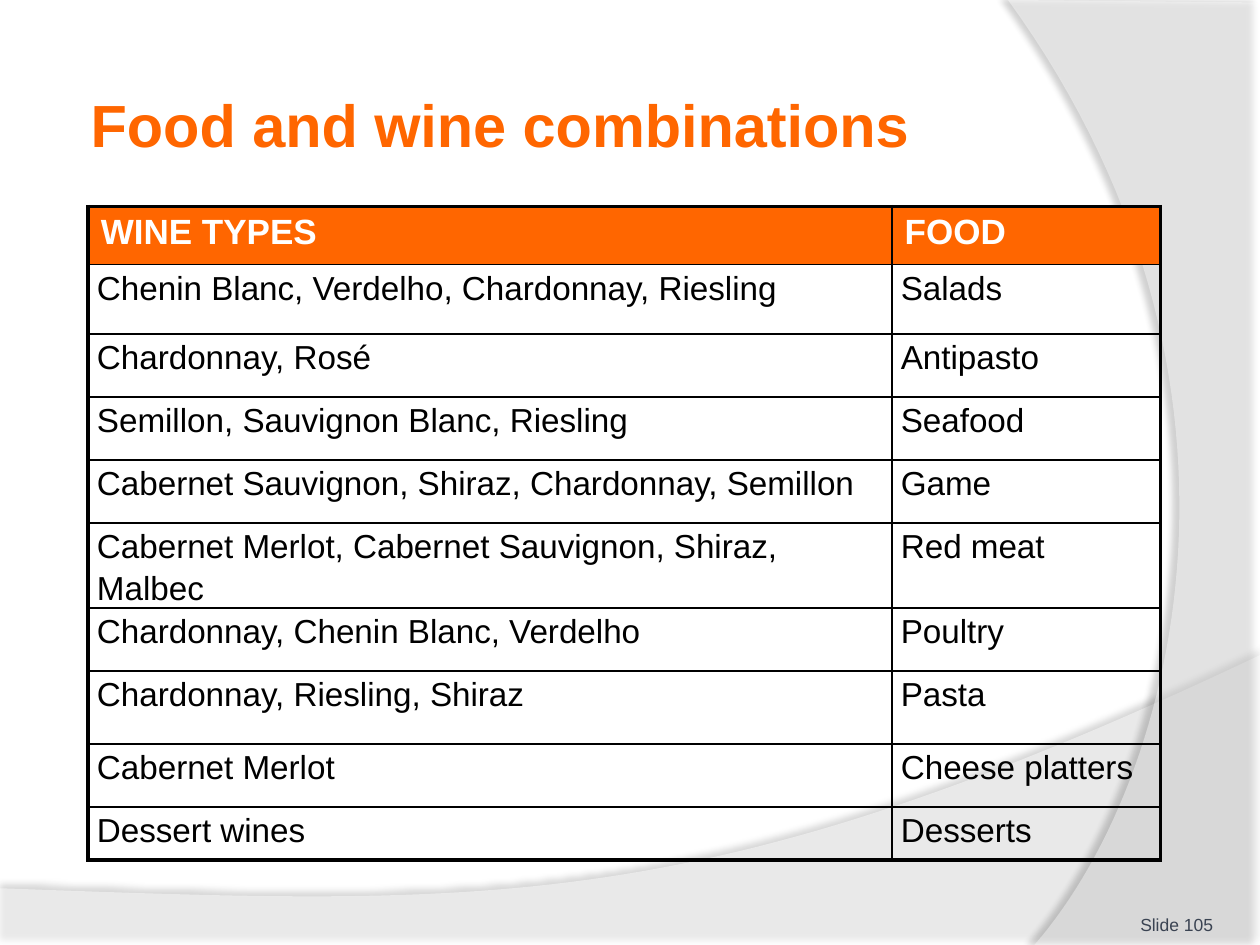
from dataclasses import dataclass

from lxml import etree
from pptx import Presentation
from pptx import util as u
from pptx.dml.color import RGBColor
from pptx.enum import text
from pptx.oxml import ns

Point = tuple[float, float]


@dataclass(frozen=True)
class Theme:
    font: str = "Arial"
    accent: str = "FF6600"
    white: str = "FFFFFF"
    black: str = "000000"
    slate: str = "3A4352"
    title: float = 34
    head: float = 20
    body: float = 19
    foot: float = 10
    thick: float = 2.25
    thin: float = 1


@dataclass(frozen=True)
class Wave:
    edge: tuple[Point, ...]   # straight corners, ending where the curve starts
    curve: tuple[Point, Point, Point]
    alpha: int
    shade: int
    dist: float
    angle: int


@dataclass(frozen=True)
class Label:
    words: str
    box: tuple[float, float, float, float]
    size: float
    color: str
    bold: bool
    anchor: text.MSO_ANCHOR
    inset: float
    wrap: bool


@dataclass(frozen=True)
class Pair:
    wine: str
    food: str
    height: float = 0.5


T = Theme()

WAVES = [
    Wave(((0, 7.05), (0, 7.5), (10, 7.5), (10, 5.2)),
         ((5.59, 7.29), (3.91, 7.19), (0, 7.05)), 45, 35, 3.5, 270),
    Wave(((8, 0), (10, 0.02), (10, 7.5), (8.21, 7.5)),
         ((9.35, 6.19), (10.18, 3), (8, 0)), 40, 45, 4, 180),
]
LABELS = [
    Label("Food and wine combinations", (0.67, 0.36, 8.75, 1.25), T.title,
          T.accent, True, text.MSO_ANCHOR.MIDDLE, 0.05, True),
    Label("Slide 105", (9.05, 7.02, 0.7, 0.4), T.foot,
          T.slate, False, text.MSO_ANCHOR.BOTTOM, 0, False),
]
PAIRS = [
    Pair("WINE TYPES", "FOOD", 0.46),
    Pair("Chenin Blanc, Verdelho, Chardonnay, Riesling", "Salads", 0.55),
    Pair("Chardonnay, Rosé", "Antipasto"),
    Pair("Semillon, Sauvignon Blanc, Riesling", "Seafood"),
    Pair("Cabernet Sauvignon, Shiraz, Chardonnay, Semillon", "Game"),
    Pair("Cabernet Merlot, Cabernet Sauvignon, Shiraz, Malbec", "Red meat"),
    Pair("Chardonnay, Chenin Blanc, Verdelho", "Poultry"),
    Pair("Chardonnay, Riesling, Shiraz", "Pasta", 0.58),
    Pair("Cabernet Merlot", "Cheese platters"),
    Pair("Dessert wines", "Desserts", 0.42),
]
WIDTHS = (6.38, 2.13)


def add(parent, tag: str, **attrs):
    """Append a DrawingML child element."""
    values = {key: str(val) for key, val in attrs.items()}
    return etree.SubElement(parent, ns.qn(tag), values)


def style(para, size: float, color: str, bold: bool) -> None:
    font = para.font
    font.name, font.size, font.bold = T.font, u.Pt(size), bold
    font.color.rgb = RGBColor.from_string(color)


def bend(start: Point, curve: tuple[Point, Point, Point], steps: int = 60) -> list[Point]:
    """Points along a cubic curve, without its start."""
    dots = (start, *curve)
    out = []
    for i in range(1, steps + 1):
        t = i / steps
        parts = ((1 - t) ** 3, 3 * t * (1 - t) ** 2, 3 * t * t * (1 - t), t ** 3)
        out.append(tuple(sum(p * d[k] for p, d in zip(parts, dots)) for k in (0, 1)))
    return out


def draw_wave(slide, wave: Wave) -> None:
    dots = [*wave.edge, *bend(wave.edge[-1], wave.curve)]
    spots = [(u.Inches(x), u.Inches(y)) for x, y in dots]
    pen = slide.shapes.build_freeform(*spots[0])
    pen.add_line_segments(spots[1:], close=True)
    shape = pen.convert_to_shape()
    shape.line.fill.background()
    shape.fill.solid()
    shape.fill.fore_color.rgb = RGBColor.from_string(T.white)
    props = shape._element.spPr
    tint = props.find(ns.qn("a:solidFill")).find(ns.qn("a:srgbClr"))
    add(tint, "a:alpha", val=wave.alpha * 1000)
    # Soft shadow along the curved edge
    shape.shadow.inherit = False
    glow = add(props.find(ns.qn("a:effectLst")), "a:outerShdw",
               blurRad=u.Pt(4), dist=u.Pt(wave.dist),
               dir=wave.angle * 60000, algn="ctr", rotWithShape=0)
    dark = add(glow, "a:srgbClr", val=T.black)
    add(dark, "a:alpha", val=wave.shade * 1000)


def draw_label(slide, label: Label) -> None:
    frame = slide.shapes.add_textbox(*map(u.Inches, label.box)).text_frame
    frame.word_wrap = label.wrap
    frame.vertical_anchor = label.anchor
    frame.margin_left = frame.margin_right = u.Inches(label.inset)
    frame.margin_top = frame.margin_bottom = u.Inches(label.inset)
    para = frame.paragraphs[0]
    para.text = label.words
    style(para, label.size, label.color, label.bold)


def rule(cell, outer: dict[str, bool]) -> None:
    """Border a cell, thick on the outside of the table."""
    props = cell._tc.get_or_add_tcPr()
    for side, thick in outer.items():
        line = add(props, f"a:ln{side}", w=u.Pt(T.thick if thick else T.thin))
        add(add(line, "a:solidFill"), "a:srgbClr", val=T.black)


def fill_cell(cell, words: str, head: bool) -> None:
    para = cell.text_frame.paragraphs[0]
    para.text = words
    if head:
        cell.fill.solid()
        cell.fill.fore_color.rgb = RGBColor.from_string(T.accent)
        style(para, T.head, T.white, True)
        return
    cell.fill.background()
    cell.margin_left = cell.margin_right = u.Inches(0.07)
    cell.margin_top = cell.margin_bottom = 0
    para.line_spacing = 1.15
    para.space_after = u.Pt(6)
    style(para, T.body, T.black, False)


def draw_table(slide, pairs: list[Pair]) -> None:
    size = (sum(WIDTHS), sum(pair.height for pair in pairs))
    table = slide.shapes.add_table(len(pairs), len(WIDTHS), u.Inches(0.7),
                                   u.Inches(1.64), *map(u.Inches, size)).table
    table.first_row = table.horz_banding = False
    for col, width in zip(table.columns, WIDTHS):
        col.width = u.Inches(width)
    last = len(pairs) - 1
    for r, pair in enumerate(pairs):
        table.rows[r].height = u.Inches(pair.height)
        for c, words in enumerate((pair.wine, pair.food)):
            cell = table.cell(r, c)
            rule(cell, {"L": c == 0, "R": c == 1, "T": r == 0, "B": r == last})
            fill_cell(cell, words, r == 0)


def main() -> None:
    deck = Presentation()
    deck.slide_width, deck.slide_height = u.Inches(10), u.Inches(7.5)
    slide = deck.slides.add_slide(deck.slide_layouts[6])
    # Backdrop
    for wave in WAVES:
        draw_wave(slide, wave)
    # Pairings, then title and slide number
    draw_table(slide, PAIRS)
    for label in LABELS:
        draw_label(slide, label)
    deck.save("out.pptx")


if __name__ == "__main__":
    main()
